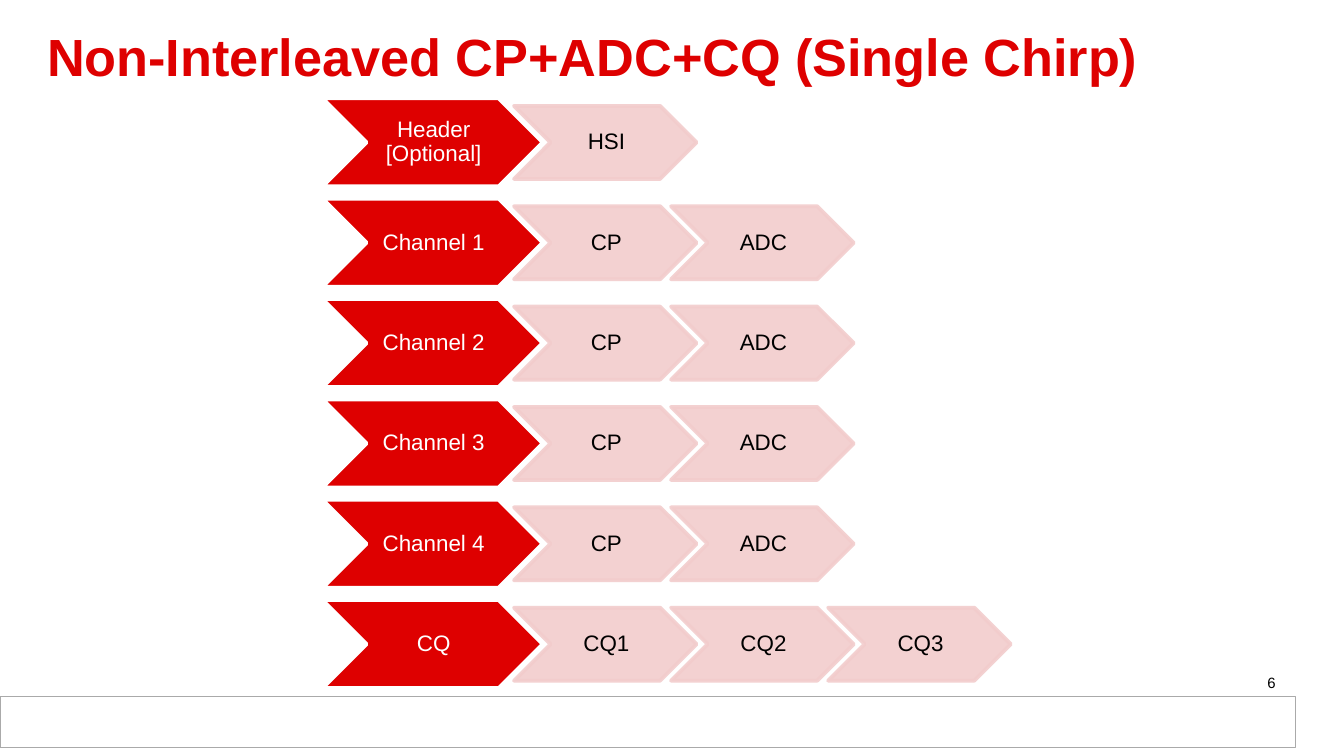
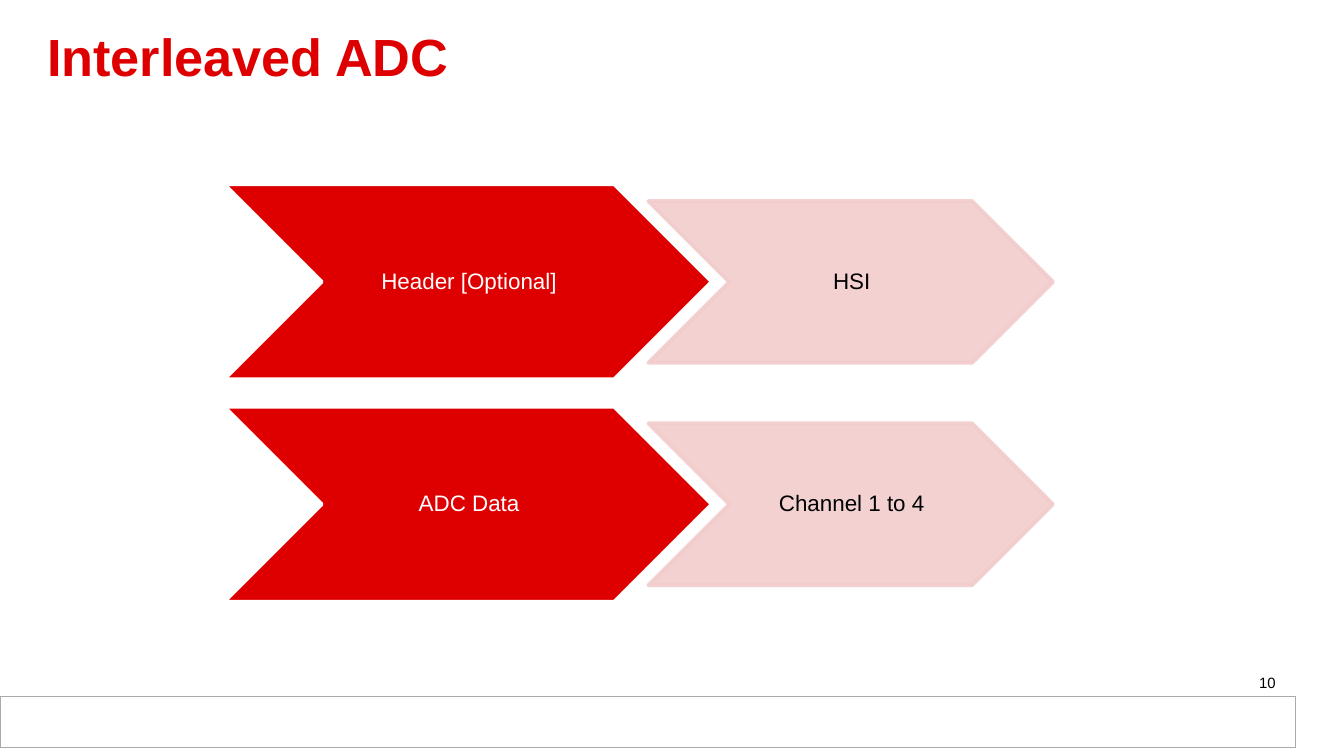
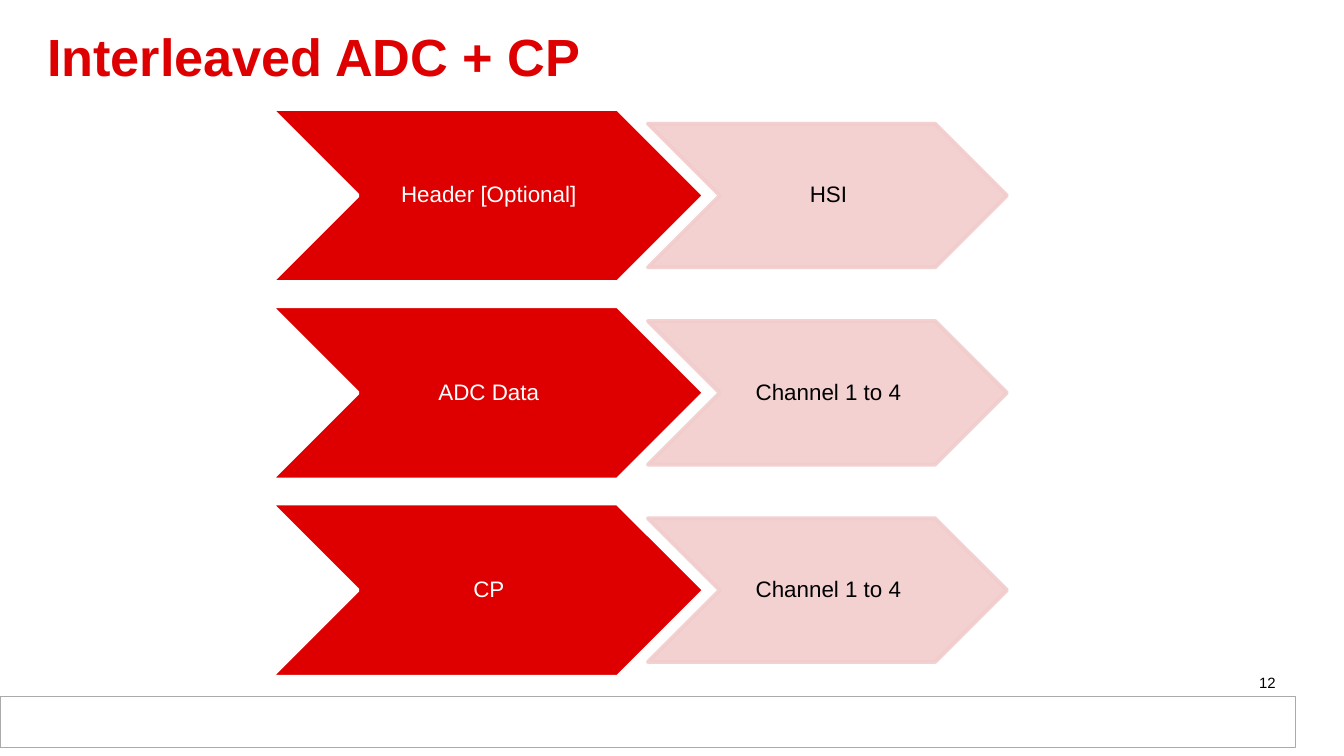
from lxml import etree
from pptx import Presentation
from pptx.dml.color import RGBColor
from pptx.enum.shapes import MSO_SHAPE
from pptx.enum.text import MSO_ANCHOR, MSO_AUTO_SIZE, PP_ALIGN
from pptx.oxml.ns import qn
from pptx.util import Pt

CHEVRON, RECT = MSO_SHAPE.CHEVRON, MSO_SHAPE.RECTANGLE
MIDDLE, TOP = MSO_ANCHOR.MIDDLE, MSO_ANCHOR.TOP
LEFT, CENTER, RIGHT = PP_ALIGN.LEFT, PP_ALIGN.CENTER, PP_ALIGN.RIGHT
NO_FIT = MSO_AUTO_SIZE.NONE

HEADER = ("Header [Optional]", "HSI")
ADC_DATA = ("ADC Data", "Channel 1 to 4")

# Each slide: title, number, left, top and width of the first lead chevron, rows
SLIDES = [
    ("Non-Interleaved CP+ADC+CQ (Single Chirp)", 6, 172.8, 52.7, 117.9,
     [HEADER]
     + [(f"Channel {n}", "CP", "ADC") for n in range(1, 5)]
     + [("CQ", "CQ1", "CQ2", "CQ3")]),
    ("Interleaved ADC", 10, 120.1, 98.8, 261.2, [HEADER, ADC_DATA]),
    ("Interleaved ADC + CP", 12, 145.4, 58.4, 231.8,
     [HEADER, ADC_DATA, ("CP", "Channel 1 to 4")]),
]


def rgb(hex_color):
    return RGBColor.from_string(hex_color)


class Deck:
    FONT = "Arial"
    RED, PINK, WHITE, BLACK, GRAY = "DE0000", "F2CCCC", "FFFFFF", "000000", "AAAAAA"
    ASPECT = 2.5        # chevron width to height
    ROW_PITCH = 1.14    # in lead chevron heights
    STEP_SCALE = 0.83   # step chevron to lead chevron
    LEAD_ADVANCE, STEP_ADVANCE = 0.87, 0.86  # in chevron widths

    def __init__(self):
        self.prs = Presentation()
        self.prs.slide_width, self.prs.slide_height = Pt(720), Pt(405)
        self.slide = None

    def add_slide(self, title, number):
        self.slide = self.prs.slides.add_slide(self.prs.slide_layouts[5])
        self.shape(RECT, 0, 373, 694, 27.4, self.WHITE, self.GRAY, 0.75)
        self.title(title)
        self.page_number(number)

    def set_text(self, sp, text, size, color, align, anchor, insets, spacing=1.0):
        tf = sp.text_frame
        tf.text = text
        tf.word_wrap = True
        tf.auto_size = NO_FIT
        tf.vertical_anchor = anchor
        tf.margin_left, tf.margin_top, tf.margin_right, tf.margin_bottom = map(Pt, insets)
        p = tf.paragraphs[0]
        p.alignment = align
        p.line_spacing = spacing
        p.font.name, p.font.size = self.FONT, Pt(size)
        p.font.color.rgb = rgb(color)
        return p

    def title(self, text):
        sp = self.slide.shapes.title
        sp.left, sp.top, sp.width, sp.height = Pt(18), Pt(8.6), Pt(666), Pt(48.2)
        p = self.set_text(sp, text, 28, self.RED, LEFT, MIDDLE, (7.2, 3.6, 7.2, 3.6), 0.85)
        p.font.bold = True

    def page_number(self, number):
        sp = self.slide.shapes.add_textbox(Pt(522.7), Pt(357.1), Pt(167.8), Pt(12.2))
        self.set_text(sp, str(number), 8, self.BLACK, RIGHT, TOP, (7.2, 3.6, 7.2, 3.6))

    def shape(self, kind, x, y, w, h, fill, line, line_width):
        sp = self.slide.shapes.add_shape(kind, Pt(x), Pt(y), Pt(w), Pt(h))
        sp.shadow.inherit = False
        sp.fill.solid()
        sp.fill.fore_color.rgb = rgb(fill)
        sp.line.color.rgb = rgb(line)
        sp.line.width = Pt(line_width)
        return sp

    def chevron(self, text, x, middle, w, fill, line, color, opacity=100):
        h = w / self.ASPECT
        sp = self.shape(CHEVRON, x, middle - h / 2, w, h, fill, line, 2)
        if opacity < 100:
            for clr in sp.element.spPr.iter(qn("a:srgbClr")):
                etree.SubElement(clr, qn("a:alpha")).set("val", str(opacity * 1000))
        p = self.set_text(sp, text, 12, color, CENTER, MIDDLE, (1.2, 0.6, 0, 0.6), 0.9)
        p.space_after = Pt(4.2)

    def chevron_rows(self, rows, left, top, width):
        """Draw one row per tuple: a red lead chevron, then its pink steps."""
        height = width / self.ASPECT
        step_width = width * self.STEP_SCALE
        for i, (lead, *steps) in enumerate(rows):
            middle = top + height / 2 + i * height * self.ROW_PITCH
            self.chevron(lead, left, middle, width, self.RED, self.WHITE, self.WHITE)
            x = left + width * self.LEAD_ADVANCE
            for step in steps:
                self.chevron(step, x, middle, step_width,
                             self.PINK, self.PINK, self.BLACK, 90)
                x += step_width * self.STEP_ADVANCE


def main():
    deck = Deck()
    for title, number, left, top, width, rows in SLIDES:
        deck.add_slide(title, number)
        deck.chevron_rows(rows, left, top, width)
    deck.prs.save("out.pptx")


if __name__ == "__main__":
    main()
